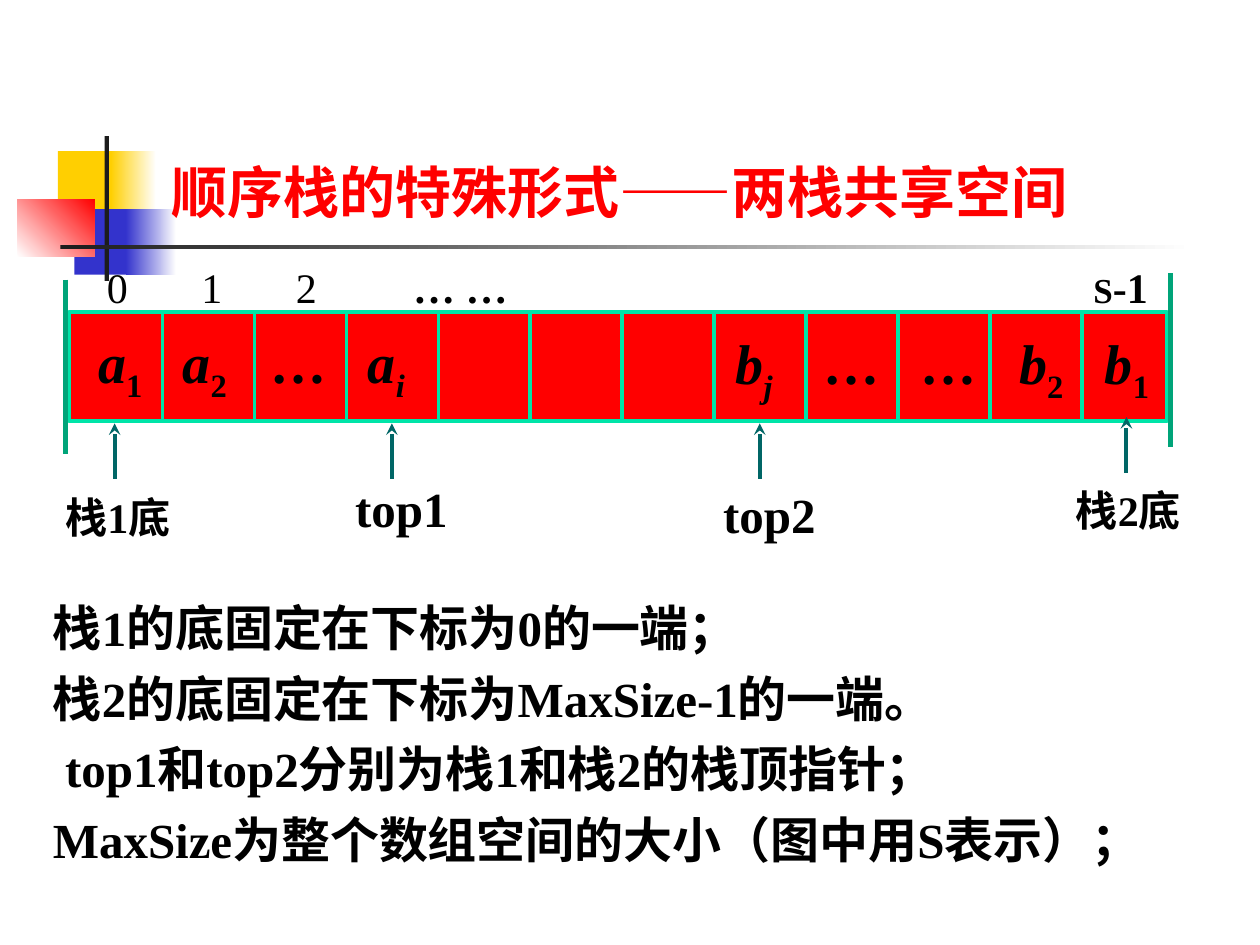
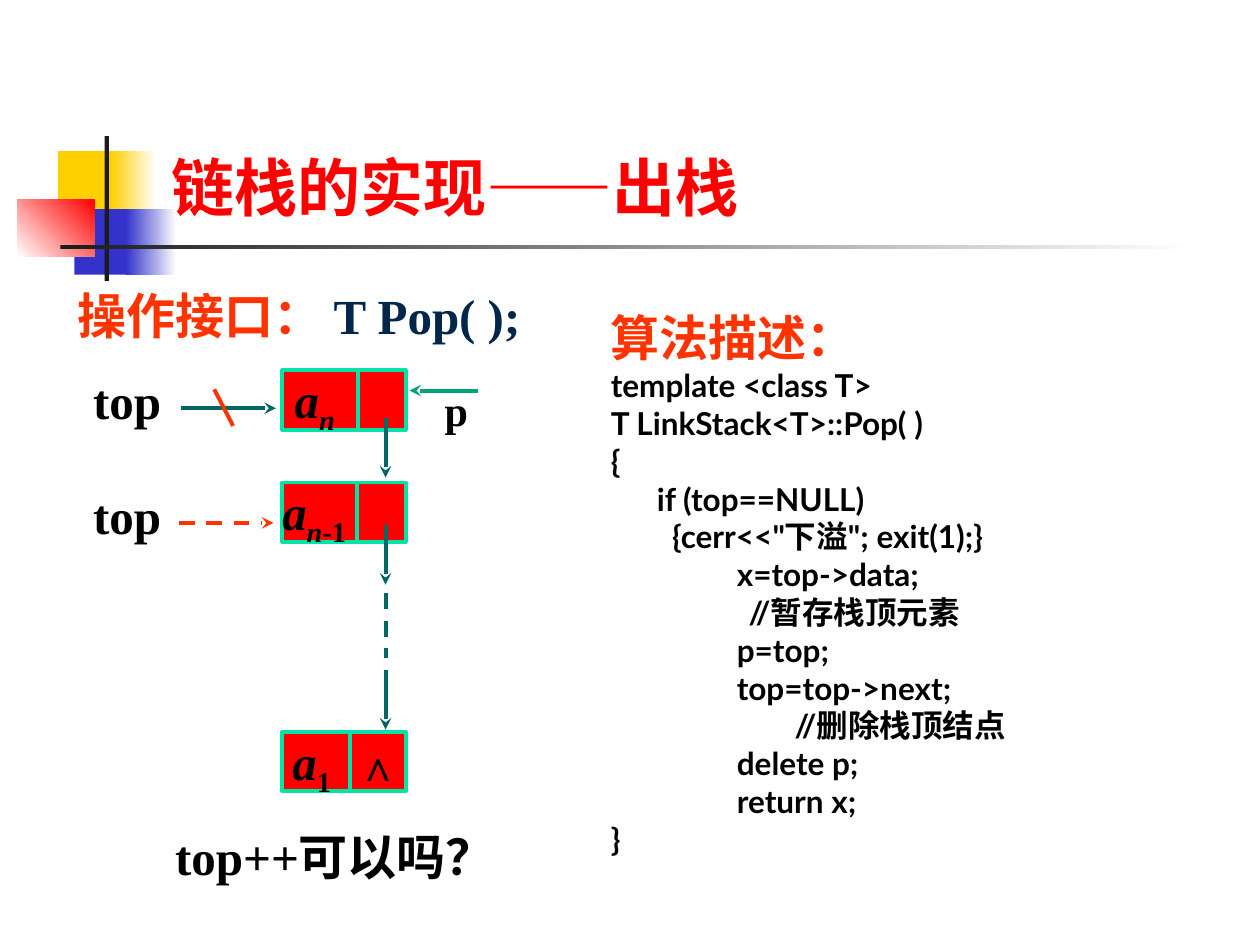
from dataclasses import dataclass
from typing import NamedTuple, Optional

from lxml.etree import SubElement as Sub
from pptx import Presentation
from pptx.dml.color import RGBColor as Rgb
from pptx.enum.dml import MSO_LINE as Dash
from pptx.enum.shapes import MSO_CONNECTOR as Conn, MSO_SHAPE as Kind
from pptx.enum.text import MSO_ANCHOR as Anchor, PP_ALIGN as Align
from pptx.oxml.ns import qn
from pptx.util import Emu, Inches, Pt

# Grid: 100 columns by 75 rows
COLS, ROWS = 100, 75
WIDE, HIGH = Inches(10), Inches(7.5)

BLACK = Rgb(0x00, 0x00, 0x00)
WHITE = Rgb(0xFF, 0xFF, 0xFF)
INK = Rgb(0x1C, 0x1C, 0x1C)
RED = Rgb(0xFF, 0x00, 0x00)
GOLD = Rgb(0xFF, 0xCF, 0x01)
BLUE = Rgb(0x33, 0x33, 0xCC)
MINT = Rgb(0x00, 0xE4, 0xA8)
GREEN = Rgb(0x00, 0xA4, 0x79)
TEAL = Rgb(0x00, 0x66, 0x66)
FLAME = Rgb(0xFF, 0x33, 0x00)
NAVY = Rgb(0x00, 0x26, 0x4C)

SERIF, SANS, PLAIN = "Times New Roman", "Lato", "Arial"
INSET = (1, 0.5, 1, 0.5)
FLAT = (0, 0.5, 0, 0.5)


class Box(NamedTuple):
    x: float
    y: float
    w: float
    h: float


class Run(NamedTuple):
    text: str
    italic: bool = False
    sub: bool = False
    bold: Optional[bool] = None
    size: Optional[float] = None
    color: Optional[Rgb] = None
    font: Optional[str] = None


@dataclass
class Block:
    box: Box
    color: Rgb
    fade: Optional[Rgb] = None
    angle: float = 0


@dataclass
class Tag:
    """A pointer arrow under the array, with its label."""
    x: float
    tip: float
    label: str
    box: Box
    size: float


@dataclass
class Node:
    box: Box
    split: float
    runs: list
    pad: float


def col(n: float) -> Emu:
    return Emu(round(WIDE * n / COLS))


def row(n: float) -> Emu:
    return Emu(round(HIGH * n / ROWS))


def place(box: Box) -> tuple:
    return col(box.x), row(box.y), col(box.w), row(box.h)


def write(shape, paras, *, size=28, color=BLACK, font=SERIF, bold=True, gap=1.0,
          align=Align.LEFT, inset=INSET, anchor=Anchor.TOP, tabs=()) -> None:
    """Fill a shape; each paragraph is a string or a list of runs."""
    frame = shape.text_frame
    frame.word_wrap = True
    frame.vertical_anchor = anchor
    left, top, right, low = inset
    frame.margin_left, frame.margin_right = col(left), col(right)
    frame.margin_top, frame.margin_bottom = row(top), row(low)
    for i, para in enumerate([paras] if isinstance(paras, str) else paras):
        p = frame.add_paragraph() if i else frame.paragraphs[0]
        p.alignment, p.line_spacing = align, gap
        if tabs:
            stops = Sub(p._p.get_or_add_pPr(), qn("a:tabLst"))
            for stop in tabs:
                Sub(stops, qn("a:tab"), pos=str(int(col(stop))), algn="l")
        for part in [Run(para)] if isinstance(para, str) else para:
            run = p.add_run()
            run.text = part.text
            face = run.font
            face.name = part.font or font
            face.size = Pt(part.size or size)
            face.bold = bold if part.bold is None else part.bold
            face.italic = part.italic
            face.color.rgb = part.color or color
            if part.sub:
                run._r.get_or_add_rPr().set("baseline", "-25000")


def text(slide, box: Box, paras, **fmt) -> None:
    write(slide.shapes.add_textbox(*place(box)), paras, **fmt)


def rect(slide, box: Box, color: Rgb, edge: Optional[Rgb] = None):
    shape = slide.shapes.add_shape(Kind.RECTANGLE, *place(box))
    shape.shadow.inherit = False
    shape.fill.solid()
    shape.fill.fore_color.rgb = color
    if edge is None:
        shape.line.fill.background()
    else:
        shape.line.color.rgb = edge
        shape.line.width = Pt(2.25)
    return shape


def line(slide, x1: float, y1: float, x2: float, y2: float, color: Rgb,
         width=2.25, tip=False, dash=False) -> None:
    link = slide.shapes.add_connector(Conn.STRAIGHT, col(x1), row(y1), col(x2), row(y2))
    link.line.color.rgb = color
    link.line.width = Pt(width)
    if dash:
        link.line.dash_style = Dash.DASH
    if tip:
        Sub(link.line._get_or_add_ln(), qn("a:tailEnd"), type="stealth")
    Sub(link._element.spPr, qn("a:effectLst"))


# Shared corner motif and title
MOTIF = [
    Block(Box(4.6, 12, 4.8, 5.2), GOLD),
    Block(Box(8.8, 12, 3.6, 5.2), GOLD, WHITE),
    Block(Box(5.9, 16.6, 4.6, 5.2), BLUE),
    Block(Box(10, 16.6, 4, 5.2), BLUE, WHITE),
    Block(Box(1.4, 15.8, 6.1, 4.6), WHITE, RED, 45),
    Block(Box(8.3, 10.8, 0.35, 11.5), INK),
    Block(Box(4.8, 19.45, 90, 0.35), INK, WHITE),
]


def begin(deck, head: str, tail: str, size: float):
    slide = deck.slides.add_slide(deck.slide_layouts[6])
    for block in MOTIF:
        shape = rect(slide, block.box, block.color)
        if block.fade is not None:
            shape.fill.gradient()
            shape.fill.gradient_angle = block.angle
            stops = shape.fill.gradient_stops
            for stop, color, spot in zip(stops, (block.color, block.fade), (0, 1)):
                stop.color.rgb = color
                stop.position = spot
    text(slide, Box(12.6, 2.3, 85.2, 16), [[Run(head), Run("——", font=PLAIN), Run(tail)]],
         size=size, color=RED, font=SANS, anchor=Anchor.BOTTOM)
    return slide


def term(name: str, sub: str, slant=False) -> list:
    return [Run(name, italic=True), Run(sub, italic=slant, sub=True)]


# Slide 1: two stacks in one array
BAR = Box(5.5, 24.8, 87.1, 8.6)
FIRST, PITCH, SPLITS = 12.9, 7.3, 11
TAGS = [
    Tag(9.1, 33.6, "栈1底", Box(4.2, 38.5, 13.3, 5), 24),
    Tag(31.1, 33.6, "top1", Box(27.2, 37.5, 10.5, 5.7), 28),
    Tag(60.3, 33.6, "top2", Box(56.4, 38, 10.5, 5.7), 28),
    Tag(89.4, 33.1, "栈2底", Box(84.4, 38, 13.3, 5), 24),
]
NOTES = [
    "栈1的底固定在下标为0的一端；",
    "栈2的底固定在下标为MaxSize-1的一端。",
    " top1和top2分别为栈1和栈2的栈顶指针；",
    "MaxSize为整个数组空间的大小（图中用S表示）；",
]


def share(deck) -> None:
    slide = begin(deck, "顺序栈的特殊形式", "两栈共享空间", 32)
    rect(slide, BAR, RED, MINT)
    for i in range(SPLITS):
        x = FIRST + i * PITCH
        line(slide, x, BAR.y, x, BAR.y + BAR.h, MINT)
    line(slide, 5.2, 22.2, 5.2, 36, GREEN, 3)
    line(slide, 92.9, 21.7, 92.9, 35.5, GREEN, 3)

    # Indexes and cell contents, set out on tab stops
    text(slide, Box(7.5, 20.3, 87.6, 5),
         [[Run("0\t1\t2\t", bold=False), Run("… …\t"), Run("S", size=20), Run("-1")]],
         size=24, tabs=(7.5, 15, 24.3, 78.3))
    text(slide, Box(6.8, 25.5, 30.9, 7.1),
         [[*term("a", "1"), Run("\t"), *term("a", "2"), Run("\t…\t"),
           *term("a", "i", True)]],
         size=32, tabs=(6.7, 13.7, 21.4))
    text(slide, Box(57.4, 25.6, 36, 7.1),
         [[*term("b", "j", True), Run("\t…\t…\t"), *term("b", "2"), Run("\t"),
           *term("b", "1")]],
         size=32, tabs=(7, 14.7, 22.5, 29.3))

    for tag in TAGS:
        line(slide, tag.x, tag.tip + 4.4, tag.x, tag.tip, TEAL, tip=True)
        text(slide, tag.box, tag.label, size=tag.size)
    text(slide, Box(4.2, 46, 92, 23.4), NOTES, gap=1.2, inset=FLAT)


# Slide 2: pop from a linked stack
NODES = [
    Node(Box(22.4, 29.4, 9.8, 4.7), 28.4, term("a", "n", True), 1),
    Node(Box(22.4, 38.3, 9.8, 4.7), 28.3, [*term("a", "n", True), Run("-1", sub=True)], 0),
    Node(Box(22.4, 58.1, 9.8, 4.7), 27.8, term("a", "1"), 0.8),
]
CODE = """template <class T>
T LinkStack<T>::Pop( )
{
      if (top==NULL)
        {cerr<<"下溢"; exit(1);}
\tx=top->data;
                  //暂存栈顶元素
\tp=top;
\ttop=top->next;
                        //删除栈顶结点
\tdelete p;
\treturn x;
}""".split("\n")
NEXT = 30.6


def pop(deck) -> None:
    slide = begin(deck, "链栈的实现", "出栈", 36)
    head = [Run("算法描述：", size=28, color=FLAME, font=SERIF)]
    text(slide, Box(47.5, 23.9, 47.3, 44.2), [head, *CODE],
         size=18, font=SANS, tabs=(10,))
    text(slide, Box(5.2, 22.2, 46.8, 5.7),
         [[Run("操作接口： ", color=FLAME), Run("T Pop( );", color=NAVY)]])

    # Nodes and their links
    for node in NODES:
        box = node.box
        write(rect(slide, box, RED, MINT), [node.runs], gap=0.9,
              inset=(node.pad, 0, 0, 0.8))
        line(slide, node.split, box.y, node.split, box.y + box.h, MINT)
    text(slide, Box(27.4, 58.2, 4.9, 5), "∧", size=24, align=Align.CENTER)
    for y in (33.2, 41.7, 53.2):
        line(slide, NEXT, y, NEXT, y + 4.7, TEAL, tip=True)
    line(slide, NEXT, 47.1, NEXT, 52.2, TEAL, dash=True)

    # Top pointer before and after, and the p pointer
    for y in (29.4, 38.5):
        text(slide, Box(7.4, y, 8.3, 5.1), "top", inset=(0, 0, 0, 0.4))
    line(slide, 14.4, 32.4, 21.9, 32.4, TEAL, tip=True)
    line(slide, 14.2, 41.5, 21.7, 41.5, FLAME, tip=True, dash=True)
    line(slide, 17, 30.9, 18.5, 33.8, FLAME)
    line(slide, 37.9, 31, 32.5, 31, GREEN, tip=True)
    text(slide, Box(34.3, 30, 3.9, 5), "p", size=24)
    text(slide, Box(13.9, 65.1, 43.8, 5.7), "top++可以吗？", inset=FLAT)


def main() -> None:
    deck = Presentation()
    deck.slide_width, deck.slide_height = WIDE, HIGH
    share(deck)
    pop(deck)
    deck.save("out.pptx")


if __name__ == "__main__":
    main()
